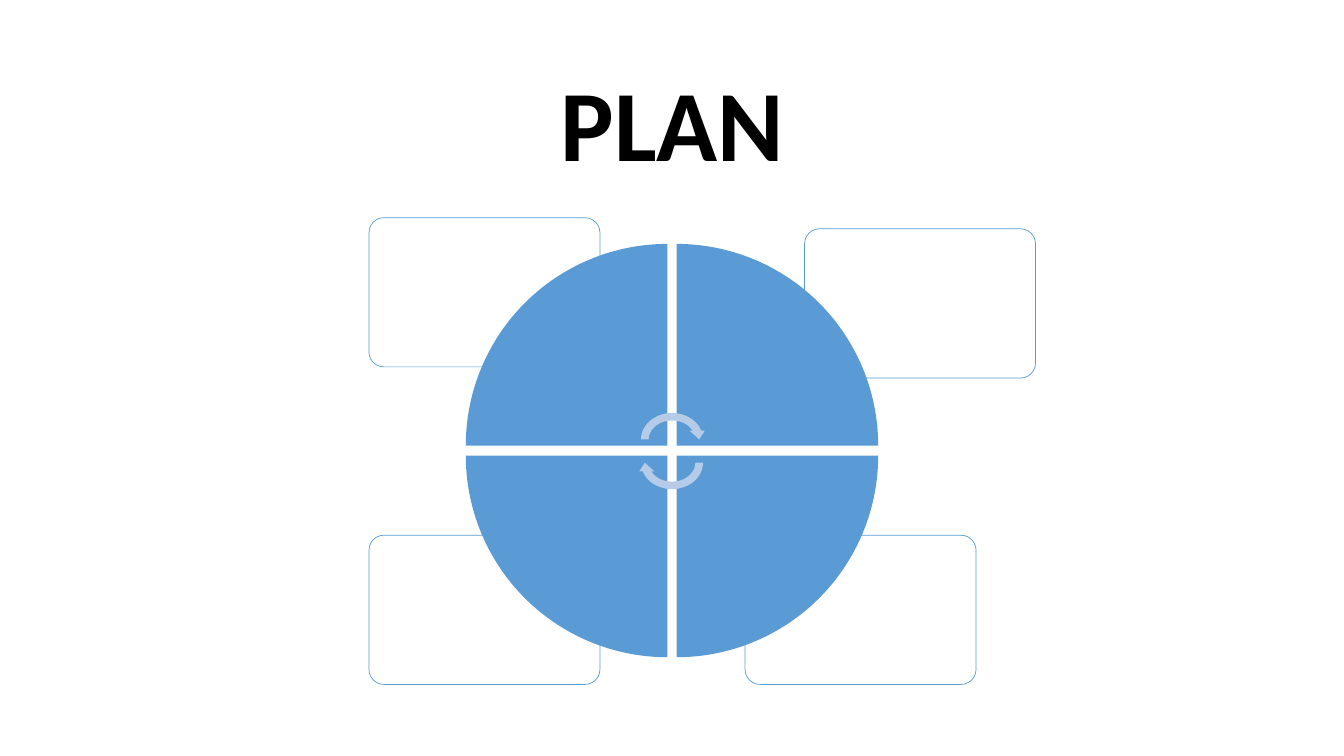
import lxml.etree
import pptx
import pptx.dml.color
import pptx.enum.shapes
import pptx.enum.text
import pptx.oxml.ns
import pptx.util

Inches = pptx.util.Inches
Kind = pptx.enum.shapes.MSO_SHAPE


class Deck:
    font = "Calibri"
    colors = {"ink": "000000", "paper": "FFFFFF", "blue": "5B9BD5", "pale": "B5CBE7"}

    def __init__(self, width, height):
        self.show = pptx.Presentation()
        self.show.slide_width = Inches(width)
        self.show.slide_height = Inches(height)
        self.slide = self.show.slides.add_slide(self.show.slide_layouts[6])

    def color(self, name):
        return pptx.dml.color.RGBColor.from_string(self.colors[name])

    def title(self, text, box, size):
        frame = self.slide.shapes.add_textbox(*map(Inches, box)).text_frame
        frame.word_wrap = True
        frame.auto_size = pptx.enum.text.MSO_AUTO_SIZE.SHAPE_TO_FIT_TEXT
        line = frame.paragraphs[0]
        line.text = text
        line.alignment = pptx.enum.text.PP_ALIGN.CENTER
        line.font.name = self.font
        line.font.size = pptx.util.Pt(size)
        line.font.bold = True
        line.font.color.rgb = self.color("ink")

    def shape(self, kind, box, fill, turn=0):
        shape = self.slide.shapes.add_shape(kind, *map(Inches, box))
        shape.shadow.inherit = False
        shape.rotation = turn
        shape.fill.solid()
        shape.fill.fore_color.rgb = self.color(fill)
        shape.line.fill.background()
        return shape

    def card(self, left, top):
        card = self.shape(Kind.ROUNDED_RECTANGLE, (left, top, 2.29, 1.48), "paper")
        card.adjustments[0] = 0.1
        card.line.color.rgb = self.color("blue")
        card.line.width = pptx.util.Pt(0.5)
        tint = card.element.spPr.xpath("a:solidFill/a:srgbClr")[0]
        alpha = lxml.etree.SubElement(tint, pptx.oxml.ns.qn("a:alpha"))
        alpha.set("val", "90000")

    def wedge(self, left, top, turn):
        self.shape(Kind.PIE_WEDGE, (left, top, 2, 2), "blue", turn)

    def arrow(self, top, turn):
        self.shape(Kind.CIRCULAR_ARROW, (6.32, top, 0.69, 0.6), "pale", turn)


def main():
    deck = Deck(13.33, 7.5)
    deck.title("PLAN", (5.36, 0.55, 2.62, 1.31), 72)
    for left, top in [(7.39, 5.31), (3.66, 5.31), (7.98, 2.27), (3.66, 2.16)]:
        deck.card(left, top)
    west, east, north, south = 4.62, 6.71, 2.42, 4.52
    spots = [(west, north), (east, north), (east, south), (west, south)]
    for step, (left, top) in enumerate(spots):
        deck.wedge(left, top, 90 * step)
    deck.arrow(4.06, 0)
    deck.arrow(4.29, 180)
    deck.show.save("out.pptx")


if __name__ == "__main__":
    main()
